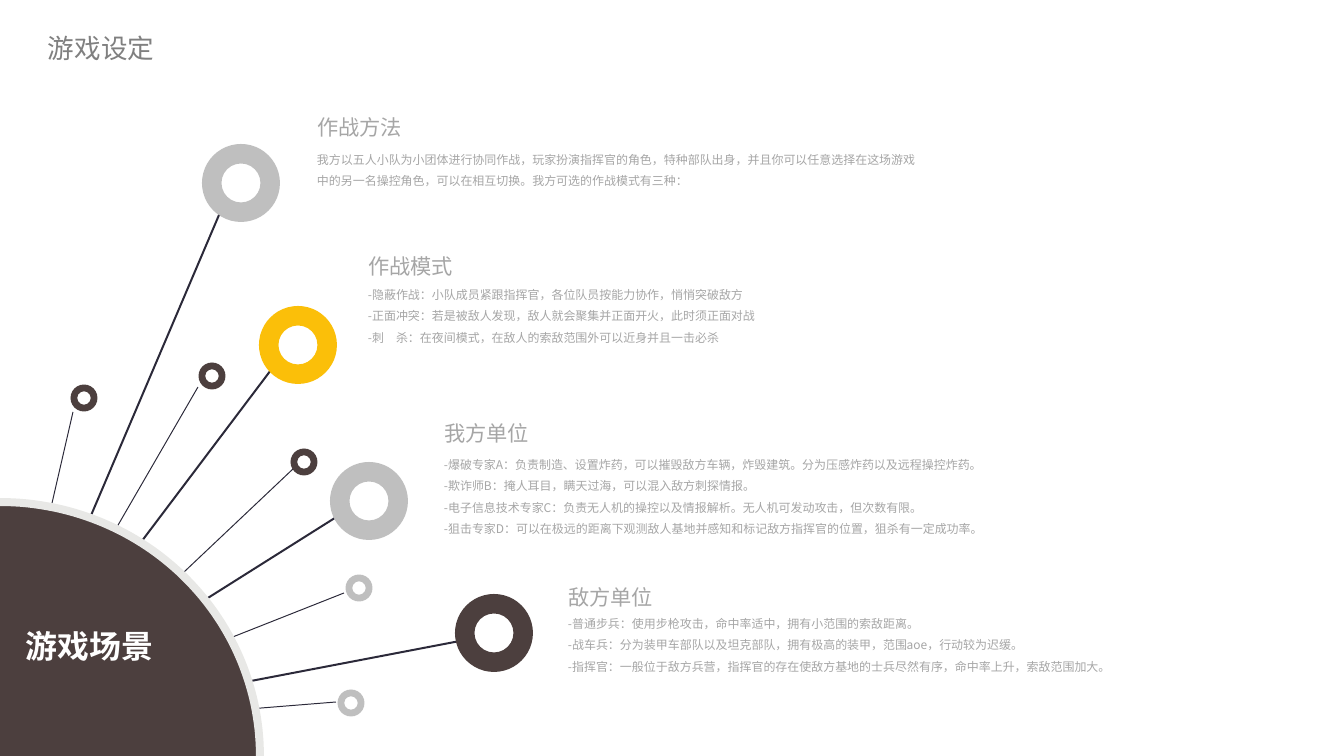
from math import cos, pi, sin

from lxml import etree
from pptx import Presentation
from pptx import util as u
from pptx.dml.color import RGBColor
from pptx.enum import shapes, text
from pptx.oxml.ns import qn

# Content
TITLE = ("游戏设定", (38, 28, 320, 39))
LABEL = ("游戏场景", (12, 622, 155, 48))

# Left, heading top, heading spacing, body top, heading, lines
TOPICS = [
    (307, 109, 1.0, 140, "作战方法", [
        "我方以五人小队为小团体进行协同作战，玩家扮演指挥官的角色，特种部队出身，"
        "并且你可以任意选择在这场游戏中的另一名操控角色，可以在相互切换。"
        "我方可选的作战模式有三种：",
    ]),
    (358, 243, 1.2, 275, "作战模式", [
        "-隐蔽作战：小队成员紧跟指挥官，各位队员按能力协作，悄悄突破敌方",
        "-正面冲突：若是被敌人发现，敌人就会聚集并正面开火，此时须正面对战",
        "-刺　杀：在夜间模式，在敌人的索敌范围外可以近身并且一击必杀",
    ]),
    (434, 410, 1.2, 445, "我方单位", [
        "-爆破专家A：负责制造、设置炸药，可以摧毁敌方车辆，炸毁建筑。分为压感炸药以及远程操控炸药。",
        "-欺诈师B：掩人耳目，瞒天过海，可以混入敌方刺探情报。",
        "-电子信息技术专家C：负责无人机的操控以及情报解析。无人机可发动攻击，但次数有限。",
        "-狙击专家D：可以在极远的距离下观测敌人基地并感知和标记敌方指挥官的位置，狙杀有一定成功率。",
    ]),
    (558, 574, 1.2, 604, "敌方单位", [
        "-普通步兵：使用步枪攻击，命中率适中，拥有小范围的索敌距离。",
        "-战车兵：分为装甲车部队以及坦克部队，拥有极高的装甲，范围aoe，行动较为迟缓。",
        "-指挥官：一般位于敌方兵营，指挥官的存在使敌方基地的士兵尽然有序，命中率上升，索敌范围加大。",
    ]),
]

# Ring size, ring centre, colour, spoke tip, spoke root
BIG, SMALL = 78, 27
ROOT, LOW = (0, 729), (0, 746)
NODES = [
    (SMALL, (351, 703), "gray", (336, 702), ROOT),
    (SMALL, (84, 398), "brown", (73, 412), ROOT),
    (SMALL, (212, 376), "brown", (198, 387), ROOT),
    (SMALL, (359, 588), "gray", (344, 593), ROOT),
    (SMALL, (304, 462), "brown", (294, 468), LOW),
    (BIG, (241, 183), "gray", (222, 208), ROOT),
    (BIG, (298, 345), "gold", (274, 366), ROOT),
    (BIG, (369, 501), "gray", (338, 516), ROOT),
    (BIG, (494, 633), "brown", (460, 641), ROOT),
]

THEME = {
    "color": {"gray": "BFBFBF", "brown": "4C3F3E", "gold": "FBBF09", "rim": "E8E8E6",
              "spoke": "2B2939", "title": "808080", "text": "A6A6A6", "white": "FFFFFF"},
    "title": (20, "Noto Sans CJK SC", "title", False),
    "head": (16, "Arial", "text", False),
    "body": (9, "Noto Sans CJK SC", "text", False),
    "label": (24, "Lato", "white", True),
    "line": {BIG: 1.5, SMALL: 0.75, "rim": 6},
    "pitch": u.Pt(16.2),
}

# Slide
WIDE, HIGH = 1344, 756
HUB = (260, 254)
BODY = 622


def px(n):
    return u.Emu(round(n * 914400 / 95.6))


def tint(name):
    return RGBColor.from_string(THEME["color"][name])


def paint(shape, name):
    shape.shadow.inherit = False
    shape.fill.solid()
    shape.fill.fore_color.rgb = tint(name)
    shape.line.fill.background()


def write(box, lines, style, gap=None, align=None, mid=False):
    size, face, color, bold = THEME[style]
    frame = slide.shapes.add_textbox(*map(px, box)).text_frame
    frame.word_wrap = True
    frame.margin_left = frame.margin_right = px(10)
    frame.margin_top = frame.margin_bottom = px(5)
    frame.vertical_anchor = text.MSO_ANCHOR.MIDDLE if mid else text.MSO_ANCHOR.TOP
    for i, line in enumerate(lines):
        para = frame.paragraphs[0] if i == 0 else frame.add_paragraph()
        para.line_spacing, para.alignment = gap, align
        run = para.add_run()
        run.text = line
        font = run.font
        font.size, font.bold, font.name = u.Pt(size), bold, face
        font.color.rgb = tint(color)
        etree.SubElement(run._r.get_or_add_rPr(), qn("a:ea"), typeface=face)


def outline(points, close):
    pen = slide.shapes.build_freeform(*points[0], scale=1.0)
    pen.add_line_segments(points[1:], close=close)
    return pen.convert_to_shape()


deck = Presentation()
deck.slide_width, deck.slide_height = px(WIDE), px(HIGH)
slide = deck.slides.add_slide(deck.slide_layouts[6])

# Spokes
for size, _, _, tip, root in NODES:
    spoke = slide.shapes.add_connector(shapes.MSO_CONNECTOR.STRAIGHT, *map(px, tip + root))
    spoke.line.color.rgb = tint("spoke")
    spoke.line.width = u.Pt(THEME["line"][size])
    etree.SubElement(spoke._element.spPr, qn("a:effectLst"))

# Hub: a quarter disc and its rim
STEPS = 60
turns = [i * pi / 2 / STEPS for i in range(STEPS + 1)]
arc = [(px(HUB[0] * sin(t)), px(HIGH - HUB[1] * cos(t))) for t in turns]
paint(outline(arc + [(0, px(HIGH))], True), "brown")
rim = outline(arc, False)
rim.shadow.inherit = False
rim.fill.background()
rim.line.color.rgb = tint("rim")
rim.line.width = u.Pt(THEME["line"]["rim"])
write(LABEL[1], [LABEL[0]], "label", align=text.PP_ALIGN.CENTER, mid=True)

# Rings
for size, (x, y), color, _, _ in NODES:
    ring = slide.shapes.add_shape(shapes.MSO_SHAPE.DONUT, px(x - size / 2), px(y - size / 2),
                                  px(size), px(size))
    ring.adjustments[0] = 0.25
    paint(ring, color)

# Title and topics
write(TITLE[1], [TITLE[0]], "title", mid=True)
for left, top, gap, low, head, lines in TOPICS:
    write((left, top, 254, 38), [head], "head", gap)
    write((left, low, BODY, 10 + 22 * max(2, len(lines))), lines, "body", THEME["pitch"])

deck.save("out.pptx")
